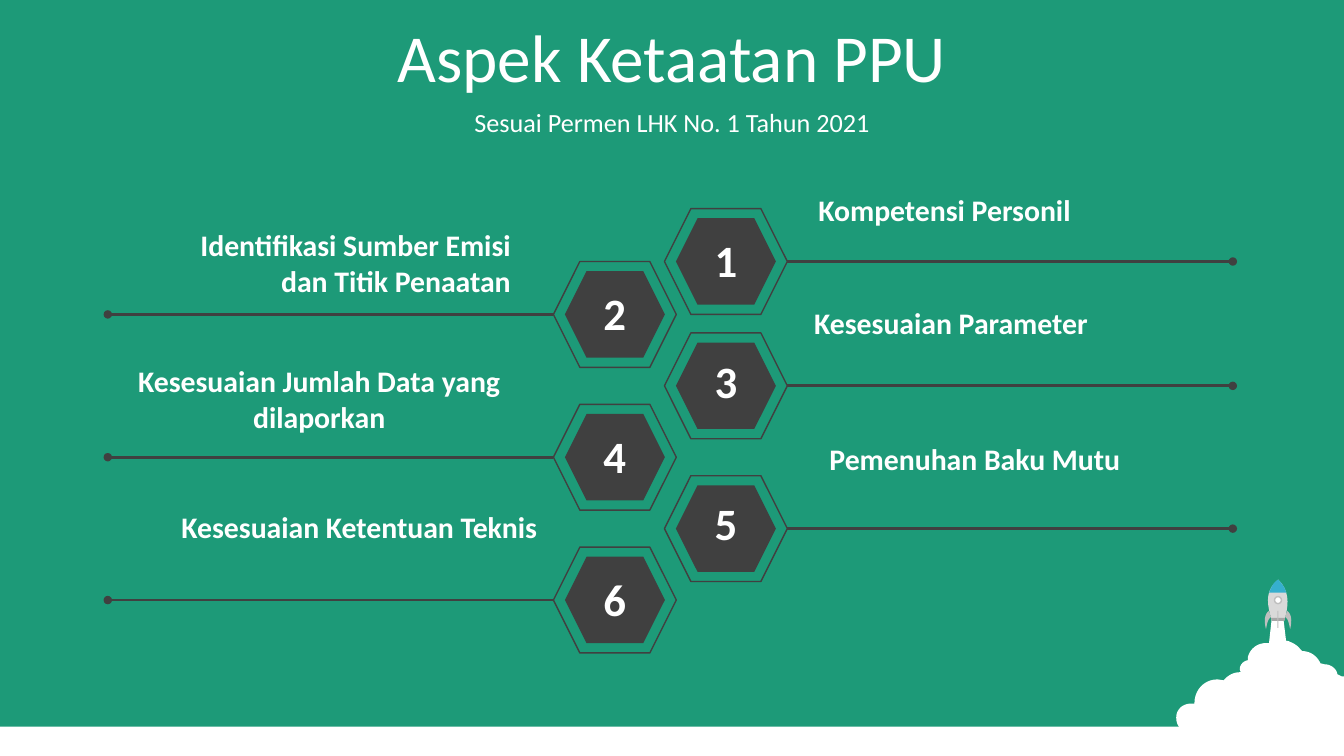
import lxml.etree
import pptx
import pptx.dml.color
import pptx.enum.shapes
import pptx.enum.text
import pptx.oxml.ns
import pptx.util

Pt = pptx.util.Pt
RGB = pptx.dml.color.RGBColor.from_string
PRESET = pptx.enum.shapes.MSO_SHAPE
ALIGN = pptx.enum.text.PP_ALIGN
ANCHOR = pptx.enum.text.MSO_ANCHOR
qn = pptx.oxml.ns.qn


class Theme:
    font = "Calibri"
    green = RGB("1D9A78")
    dark = RGB("404040")
    white = RGB("FFFFFF")
    hull = RGB("D9D9D9")
    rim = RGB("A6A6A6")
    fin = RGB("BFBFBF")
    nose = RGB("36AFCE")
    title_size = 48
    subtitle_size = 18.7
    label_size = 21.3
    number_size = 32


def write(text, holder, *, box, size, bold=False, align=ALIGN.CENTER,
          anchor=ANCHOR.TOP, line_spacing=1.0, space_before=0):
    holder.left, holder.top, holder.width, holder.height = map(Pt, box)
    frame = holder.text_frame
    frame.word_wrap = True
    frame.auto_size = pptx.enum.text.MSO_AUTO_SIZE.NONE
    frame.vertical_anchor = anchor
    paragraph = frame.paragraphs[0]
    paragraph.alignment = align
    paragraph.line_spacing = line_spacing
    paragraph.space_before = Pt(space_before)
    run = paragraph.add_run()
    run.text = text
    run.font.name = Theme.font
    run.font.size = Pt(size)
    run.font.bold = bold
    run.font.color.rgb = Theme.white


def paint(shape, fill, line=None):
    shape.shadow.inherit = False
    shape.fill.solid()
    shape.fill.fore_color.rgb = fill
    if line is None:
        shape.line.fill.background()
    else:
        shape.line.color.rgb = line
        shape.line.width = Pt(1)


deck = pptx.Presentation()
deck.slide_width, deck.slide_height = Pt(960), Pt(540)
slide = deck.slides.add_slide(deck.slide_layouts[0])
slide.background.fill.solid()
slide.background.fill.fore_color.rgb = Theme.green
shapes = slide.shapes

ground = shapes.add_shape(PRESET.RECTANGLE, 0, Pt(519), Pt(960), Pt(21))
paint(ground, Theme.white)

cloud = [
    (908.6, 440.6), (916.6, 440.6), (918.7, 457.9), (920.2, 457.9),
    (923.8, 459.4, 926.6, 460.8, 928.8, 463.7), (930.2, 465.1),
    (936, 465.1, 941, 468.7, 943.2, 473.8), (946.1, 474.5),
    (950.4, 474.5, 954.7, 477.4, 955.4, 481.7), (958.3, 483.1),
    (960, 483.1), (960, 537), (897, 538.5),
    (885.6, 538.5, 880.6, 533.5, 876.2, 529.2), (856.8, 522), (851, 523.4),
    (844.6, 523.4, 840.2, 519.1, 840.2, 512.6),
    (840.2, 506.9, 844.6, 502.6, 851, 502.6), (853.2, 502.6),
    (853.2, 492.5, 860.4, 485.3, 869.8, 485.3), (874.1, 486),
    (877, 482.4, 881.3, 480.2, 885.6, 480.2), (886.3, 480.2), (885.6, 478.1),
    (885.6, 475.2, 887.8, 472.3, 891.4, 471.6), (891.4, 469.4),
    (892.8, 463.7, 897.8, 459.4, 904.3, 459.4), (906.5, 459.4),
]
hull = [(908.6, 443.5), (905.8, 434.2, 902.2, 422.6, 913, 414),
        (923, 423.4, 919.4, 436.3, 917.3, 443.5)]
rim = [(907.9, 441.4), (918, 441.4), (917.3, 443.5), (908.6, 443.5)]
nose = [(913, 414), (915.8, 416.9, 918, 419.8, 918.7, 423.4), (919.4, 423.4),
        (906.5, 423.4), (907.9, 419.8, 909.4, 416.2, 913, 414)]
left_fin = [(906.5, 436.3), (907.9, 440.6),
            (905, 442.8, 905, 447.1, 904.3, 449.3),
            (903.6, 446.4, 902.2, 439.2, 906.5, 436.3)]
rocket_axis = 912.95
right_fin = [tuple(2 * rocket_axis - value if place % 2 == 0 else value
                   for place, value in enumerate(step)) for step in left_fin]

curve_steps = 10
for outline, fill in [(cloud, Theme.white), (hull, Theme.hull), (rim, Theme.rim),
                      (nose, Theme.nose), (left_fin, Theme.fin), (right_fin, Theme.fin)]:
    points = [outline[0]]
    for step in outline[1:]:
        if len(step) == 2:
            points.append(step)
            continue
        x0, y0 = points[-1]
        x1, y1, x2, y2, x3, y3 = step
        for tick in range(1, curve_steps + 1):
            t = tick / curve_steps
            a, b, c, d = (1 - t) ** 3, 3 * t * (1 - t) ** 2, 3 * t * t * (1 - t), t ** 3
            points.append((a * x0 + b * x1 + c * x2 + d * x3,
                           a * y0 + b * y1 + c * y2 + d * y3))
    corners = [(Pt(x), Pt(y)) for x, y in points]
    builder = shapes.build_freeform(*corners[0])
    builder.add_line_segments(corners[1:], close=True)
    paint(builder.convert_to_shape(), fill)

window = shapes.add_shape(PRESET.OVAL, Pt(910.4), Pt(426.2), Pt(5), Pt(5))
paint(window, Theme.white, Theme.fin)
middle_fin = shapes.add_shape(PRESET.RECTANGLE, Pt(912.4), Pt(436.3), Pt(0.7), Pt(12.2))
paint(middle_fin, Theme.fin)

heading = dict(anchor=ANCHOR.MIDDLE, line_spacing=0.9, space_before=10)
write("Aspek Ketaatan PPU", shapes.title, box=(0, 13, 960, 60.5),
      size=Theme.title_size, **heading)
write("Sesuai Permen LHK No. 1 Tahun 2021", slide.placeholders[1],
      box=(0, 73.5, 960, 30), size=Theme.subtitle_size, **heading)

aspects = [
    ("Kompetensi Personil", (577.5, 133.2, 272, 33), ALIGN.LEFT, 162.7),
    ("Identifikasi Sumber Emisi dan Titik Penaatan", (100, 158.4, 272, 59), ALIGN.RIGHT, 200.2),
    ("Kesesuaian Parameter", (574.5, 213.8, 272, 33), ALIGN.LEFT, 249.1),
    ("Kesesuaian Jumlah Data yang dilaporkan", (61, 255.6, 334, 59), ALIGN.CENTER, 302.4),
    ("Pemenuhan Baku Mutu", (585.4, 311, 272, 33), ALIGN.LEFT, 350.6),
    ("Kesesuaian Ketentuan Teknis", (65.5, 360, 325.4, 33), ALIGN.RIGHT, 404.6),
]
ring_size, core_size = (87.8, 75.6), (71.4, 61.8)
first_y, second_y, pitch = 186.8, 224.6, 51

for number, (aspect, label_box, align, number_top) in enumerate(aspects, 1):
    on_right = number % 2 == 1
    center_x = 518.5 if on_right else 439.2
    center_y = first_y if number == 1 else second_y + pitch * (number - 2)

    for (width, height), fill, line in [(ring_size, Theme.green, Theme.dark),
                                        (core_size, Theme.dark, None)]:
        hexagon = shapes.add_shape(PRESET.HEXAGON, Pt(center_x - width / 2),
                                   Pt(center_y - height / 2), Pt(width), Pt(height))
        paint(hexagon, fill, line)

    start_x = center_x + ring_size[0] / 2 * (1 if on_right else -1)
    end_x = 880.6 if on_right else 77
    branch = shapes.add_connector(pptx.enum.shapes.MSO_CONNECTOR.STRAIGHT,
                                  Pt(start_x), Pt(center_y), Pt(end_x), Pt(center_y))
    branch.line.color.rgb = Theme.dark
    branch.line.width = Pt(2)
    lxml.etree.SubElement(branch.line._get_or_add_ln(), qn("a:tailEnd"), type="oval")
    lxml.etree.SubElement(branch._element.spPr, qn("a:effectLst"))

    write(aspect, shapes.add_textbox(0, 0, 0, 0), box=label_box,
          size=Theme.label_size, bold=True, align=align)
    write(str(number), shapes.add_textbox(0, 0, 0, 0),
          box=(center_x - 27.4, number_top, 54.8, 46), size=Theme.number_size, bold=True)

deck.save("out.pptx")
